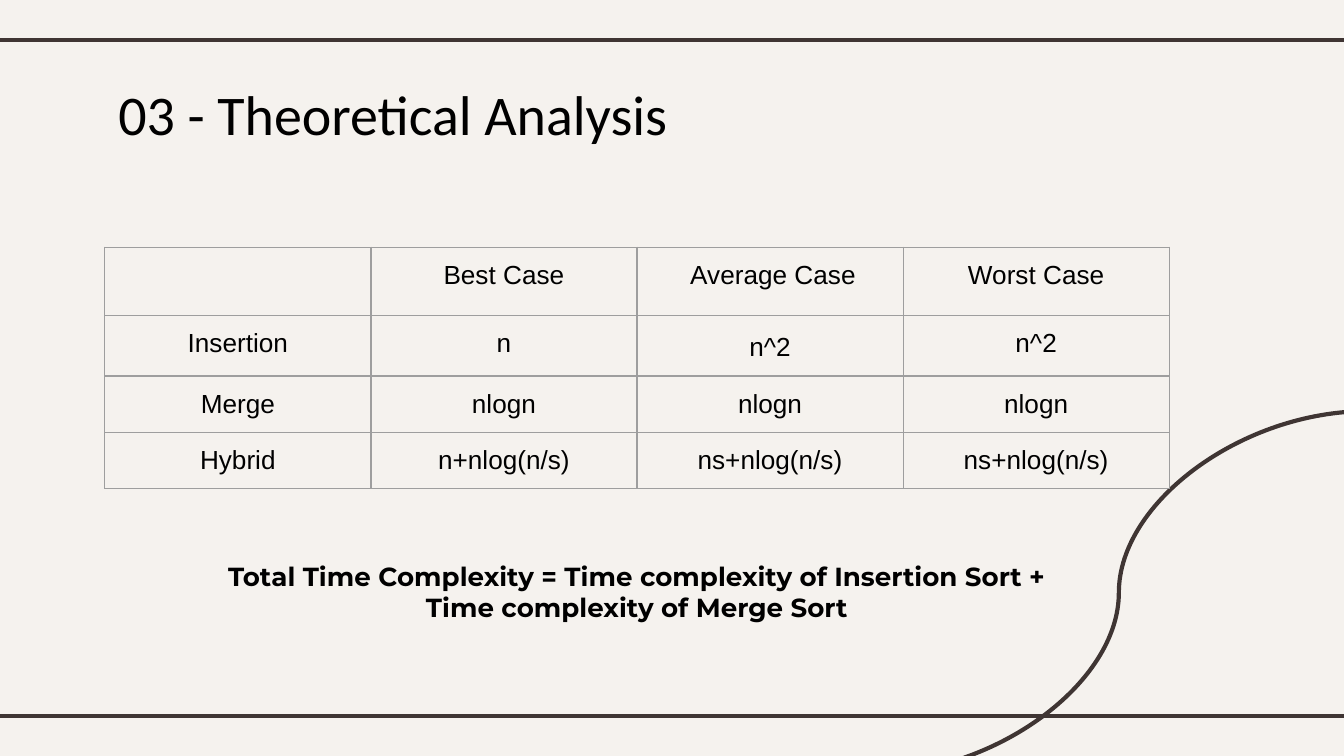
"""Build the theoretical analysis slide with its table of sorting complexities."""
from dataclasses import dataclass

from lxml import etree
from pptx import Presentation
from pptx import util as u
from pptx.dml import color
from pptx.enum import shapes, text
from pptx.oxml import ns


@dataclass(frozen=True)
class Theme:
    background: str = "F5F2EE"
    line: str = "3F3533"
    border: str = "9E9E9E"
    ink: str = "000000"
    title_size: int = 30
    text_size: int = 14
    line_width: float = 2.25
    border_width: float = 0.75


theme = Theme()


def write(frame, content, font="Arial", size=theme.text_size, bold=False,
          align=text.PP_ALIGN.CENTER, spacing=None, after=None):
    frame.word_wrap = True
    paragraph = frame.paragraphs[0]
    paragraph.alignment = align
    paragraph.line_spacing = spacing
    if after is not None:
        paragraph.space_after = u.Pt(after)
    run = paragraph.add_run()
    run.text = content
    run.font.name = font
    run.font.size = u.Pt(size)
    run.font.bold = bold
    run.font.color.rgb = color.RGBColor.from_string(theme.ink)


def add_border(cell, side):
    properties = cell._tc.get_or_add_tcPr()
    line = etree.SubElement(properties, ns.qn(f"a:ln{side}"), w=str(u.Pt(theme.border_width)))
    fill = etree.SubElement(line, ns.qn("a:solidFill"))
    etree.SubElement(fill, ns.qn("a:srgbClr"), val=theme.border)


presentation = Presentation()
presentation.slide_width = u.Inches(10)
presentation.slide_height = u.Inches(10 * 9 / 16)
slide = presentation.slides.add_slide(presentation.slide_layouts[5])
slide.background.fill.solid()
slide.background.fill.fore_color.rgb = color.RGBColor.from_string(theme.background)

connectors = [
    (shapes.MSO_CONNECTOR.STRAIGHT, -0.08, 0.3, 10.08, 0.3),
    (shapes.MSO_CONNECTOR.STRAIGHT, -0.08, 5.33, 10.08, 5.33),
    (shapes.MSO_CONNECTOR.CURVE, 10.17, 3.06, 6.48, 5.76),
]
for kind, *points in connectors:
    connector = slide.shapes.add_connector(kind, *[u.Inches(point) for point in points])
    connector.line.color.rgb = color.RGBColor.from_string(theme.line)
    connector.line.width = u.Pt(theme.line_width)
    etree.SubElement(connector._element.spPr, ns.qn("a:effectLst"))

title = slide.shapes.title
title.left, title.top = u.Inches(0.78), u.Inches(0.49)
title.width, title.height = u.Inches(6.21), u.Inches(0.63)
summary = slide.shapes.add_textbox(u.Inches(1.56), u.Inches(4.07), u.Inches(6.36), u.Inches(1.03))
for shape in (title, summary):
    frame = shape.text_frame
    frame.auto_size = text.MSO_AUTO_SIZE.NONE
    frame.vertical_anchor = text.MSO_ANCHOR.TOP
    frame.margin_left = frame.margin_right = u.Inches(0.1)
    frame.margin_top = frame.margin_bottom = u.Inches(0.1)
write(title.text_frame, "03 - Theoretical Analysis", font="Calibri",
      size=theme.title_size, align=text.PP_ALIGN.LEFT)
write(summary.text_frame,
      "Total Time Complexity = Time complexity of Insertion Sort + Time complexity of Merge Sort",
      font="Montserrat", bold=True)

complexities = [
    ["", "Best Case", " Average Case", "Worst Case"],
    ["Insertion", "n", "n^2", "n^2"],
    ["Merge", "nlogn", "nlogn", "nlogn"],
    ["Hybrid", "n+nlog(n/s)", "ns+nlog(n/s)", "ns+nlog(n/s)"],
]
row_heights = [0.48, 0.45, 0.42, 0.42]
column_width = 1.98
table = slide.shapes.add_table(
    len(complexities), len(complexities[0]), u.Inches(0.78), u.Inches(1.84),
    u.Inches(column_width * len(complexities[0])), u.Inches(sum(row_heights))).table
table.first_row = table.horz_banding = False
for column in table.columns:
    column.width = u.Inches(column_width)
for row_index, (values, height) in enumerate(zip(complexities, row_heights)):
    table.rows[row_index].height = u.Inches(height)
    for column_index, value in enumerate(values):
        cell = table.cell(row_index, column_index)
        cell.margin_left = cell.margin_right = u.Inches(0.1)
        cell.margin_top = cell.margin_bottom = u.Inches(0.1)
        for side in "LRTB":
            add_border(cell, side)
        cell.fill.background()
        if value:
            write(cell.text_frame, value,
                  spacing=1.15 if (row_index, column_index) == (1, 2) else None,
                  after=10 if row_index == 3 and column_index else None)

presentation.save("out.pptx")
